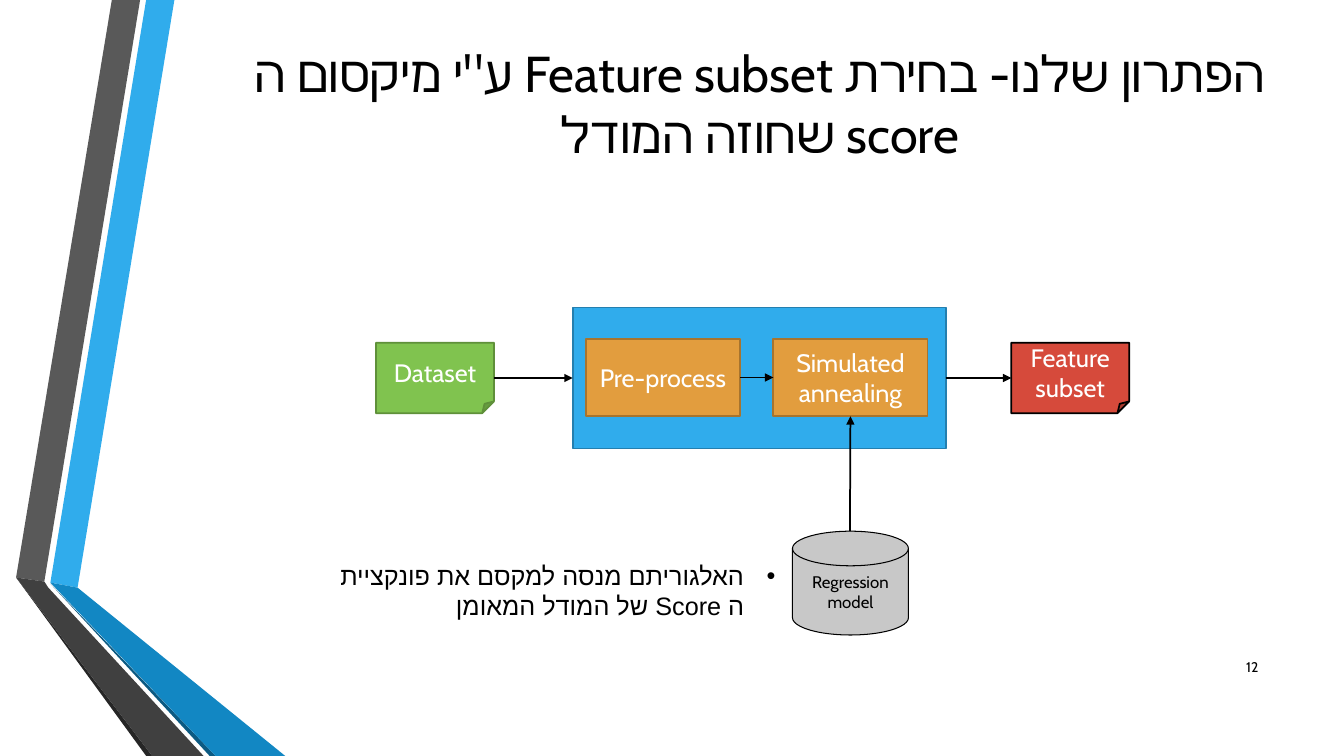
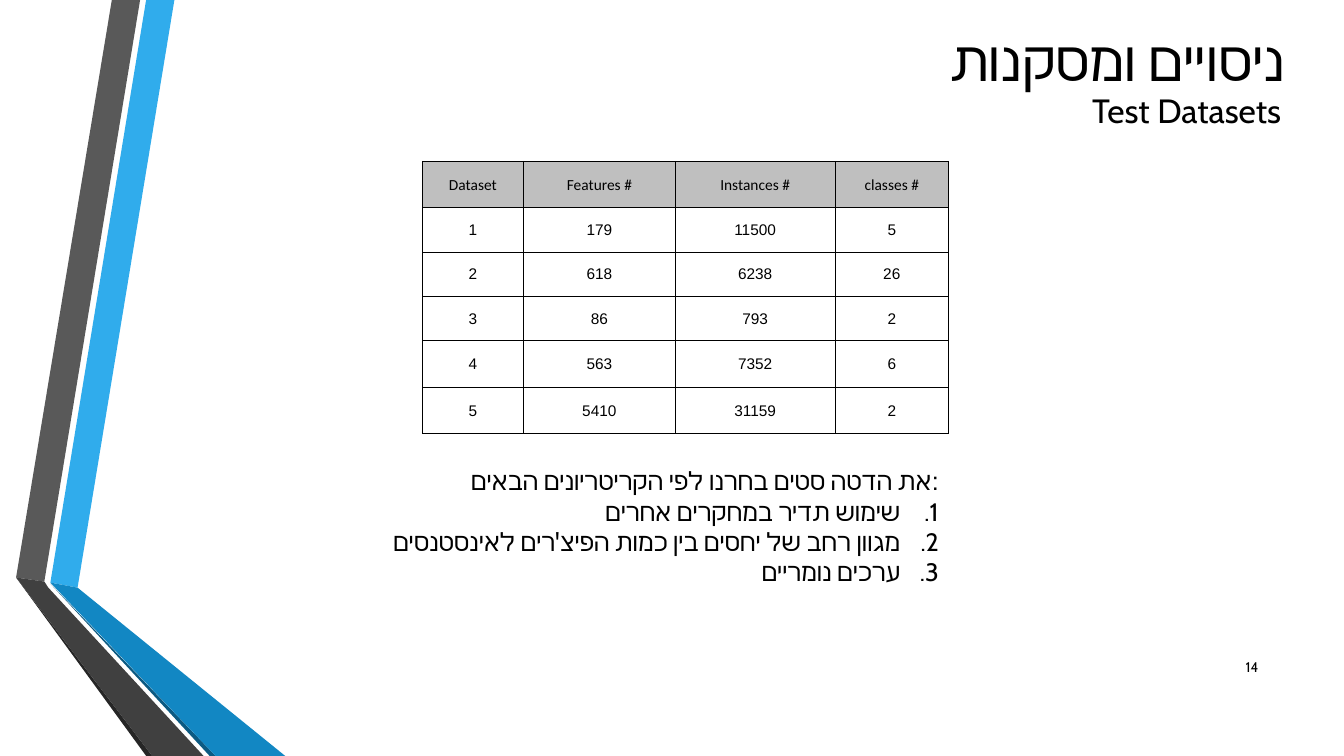
from lxml.etree import SubElement as Sub
from pptx import Presentation
from pptx.dml.color import RGBColor
from pptx.enum.shapes import MSO_CONNECTOR as Link, MSO_SHAPE as Kind
from pptx.enum.text import MSO_ANCHOR as Anchor, PP_ALIGN as Align
from pptx.oxml.ns import qn
from pptx.util import Inches, Pt

BLACK, WHITE, BLUE = "000000", "FFFFFF", "30ACEC"
ORANGE, BROWN = "E29D3E", "A7742E"
HEAD, BODY = "Cabin", "Arial"
BANDS = [
    (BLUE, [(0.5, 5.78), (0.77, 5.83), (1.73, 0), (1.45, 0)]),
    ("595959", [(1.39, 0), (1.11, 0), (0.16, 5.73), (0.44, 5.77)]),
    ("262626", [(0.16, 5.73), (1.45, 7.5), (1.51, 7.5)]),
    ("0C5A82", [(0.5, 5.79), (2.08, 7.5), (2.14, 7.5)]),
    ("1287C3", [(0.5, 5.78), (2.14, 7.5), (2.83, 7.5), (0.77, 5.83)]),
    ("404040", [(2.02, 7.5), (0.48, 5.83), (0.44, 5.77), (0.16, 5.73), (1.51, 7.5)]),
]
ROWS = [
    ("Dataset", "# Features", "# Instances", "# classes"),
    (1, 179, 11500, 5),
    (2, 618, 6238, 26),
    (3, 86, 793, 2),
    (4, 563, 7352, 6),
    (5, 5410, 31159, 2),
]


def color(code):
    """Turn a hex string into a colour."""
    return RGBColor.from_string(code)


def paint(shape, fill, edge=None, width=1.25):
    """Give a shape its fill and outline, without shadow."""
    shape.shadow.inherit = False
    shape.fill.solid()
    shape.fill.fore_color.rgb = color(fill)
    if edge:
        shape.line.color.rgb = color(edge)
        shape.line.width = Pt(width)
    else:
        shape.line.fill.background()


def write(par, text, size=18, font=HEAD, script=None, ink=BLACK, align=Align.CENTER,
          rtl=False, hang=0, mark=None):
    """Write one formatted paragraph, with an optional bullet or number."""
    par.alignment = align
    props = par._p.get_or_add_pPr()
    if rtl:
        props.set("rtl", "1")
    if mark:
        props.set("marL", str(Inches(hang)))
        props.set("indent", str(-Inches(hang)))
        if mark == "•":
            Sub(props, qn("a:buFont"), typeface=BODY)
            Sub(props, qn("a:buChar"), char=mark)
        else:
            Sub(props, qn("a:buFont"), typeface="+mj-lt")
            Sub(props, qn("a:buAutoNum"), type=mark)
    run = par.add_run()
    run.text = text
    run.font.size, run.font.name = Pt(size), font
    run.font.color.rgb = color(ink)
    Sub(run._r.get_or_add_rPr(), qn("a:cs"), typeface=script or font)


def label(slide, box, text, anchor=Anchor.MIDDLE, **look):
    """Add a wrapping text box and return its frame."""
    frame = slide.shapes.add_textbox(*map(Inches, box)).text_frame
    frame.word_wrap = True
    frame.vertical_anchor = anchor
    write(frame.paragraphs[0], text, **look)
    return frame


def block(slide, kind, box, fill, edge, text="", width=1.25, **look):
    """Add a filled shape with centred text."""
    shape = slide.shapes.add_shape(kind, *map(Inches, box))
    paint(shape, fill, edge, width)
    if text:
        shape.text_frame.vertical_anchor = Anchor.MIDDLE
        write(shape.text_frame.paragraphs[0], text, **{"ink": WHITE, **look})
    return shape


def arrow(slide, start, end, begin=None, finish=None):
    """Draw an arrow, joined to (shape, side) pairs where given."""
    line = slide.shapes.add_connector(Link.STRAIGHT, *map(Inches, start + end))
    if begin:
        line.begin_connect(*begin)
    if finish:
        line.end_connect(*finish)
    line.line.color.rgb = color(BLACK)
    line.line.width = Pt(1.25)
    Sub(line.line._get_or_add_ln(), qn("a:tailEnd"), type="triangle")
    Sub(line._element.spPr, qn("a:effectLst"))


def base(deck, number):
    """Add a slide with the side bands and page number."""
    slide = deck.slides.add_slide(deck.slide_layouts[6])
    for fill, spots in BANDS:
        first, *rest = [tuple(map(Inches, spot)) for spot in spots]
        pen = slide.shapes.build_freeform(*first)
        pen.add_line_segments(rest, close=True)
        paint(pen.convert_to_shape(), fill)
    label(slide, (11.98, 6.42, 0.6, 0.4), number, size=10, align=Align.RIGHT, rtl=True)
    return slide


def flow(slide, left, top):
    """Draw the process from dataset to feature subset."""
    mid = top + 0.7
    panel = block(slide, Kind.RECTANGLE, (left + 1.95, top, 3.7, 1.4), BLUE, "247FAF")
    prep, anneal = [
        block(slide, Kind.RECTANGLE, (left + 2.08 + 1.86 * i, top + 0.31, 1.53, 0.77),
              ORANGE, BROWN, text)
        for i, text in enumerate(("Pre-process", "Simulated annealing"))]
    block(slide, Kind.FLOWCHART_MAGNETIC_DISK, (left + 4.13, top + 2.22, 1.15, 1.03),
          "C8C8C8", BLACK, "Regression model", width=0.75, size=12, ink=BLACK)
    data, subset = [
        block(slide, Kind.FOLDED_CORNER, (left + gap, mid - 0.35, 1.17, 0.7), fill, edge, text)
        for gap, fill, edge, text in ((0, "80C34F", "5F903A", "Dataset"),
                                      (6.3, "D64A3B", BLACK, "Feature subset"))]
    spot = (left, mid)
    for one, two in ((data, panel), (panel, subset), (prep, anneal)):
        arrow(slide, spot, spot, (one, 3), (two, 1))
    arrow(slide, (left + 4.7, top + 2.22), spot, finish=(anneal, 2))


def grid(slide, left, top):
    """Draw the table of test datasets."""
    cols, rows = (1, 1.51, 1.58, 1.13), (0.46, 0.44, 0.44, 0.44, 0.46, 0.46)
    table = slide.shapes.add_table(
        len(rows), len(cols), *map(Inches, (left, top, sum(cols), sum(rows)))).table
    table.first_row = table.horz_banding = False
    for col, width in zip(table.columns, cols):
        col.width = Inches(width)
    for r, (values, high) in enumerate(zip(ROWS, rows)):
        table.rows[r].height = Inches(high)
        for c, value in enumerate(values):
            fit(table.cell(r, c), str(value), r == 0)


def fit(cell, text, top):
    """Fill in one table cell with borders."""
    cell.vertical_anchor = Anchor.MIDDLE
    cell.margin_left = cell.margin_right = cell.margin_top = Inches(0.01)
    cell.margin_bottom = 0
    write(cell.text_frame.paragraphs[0], text, size=11, rtl=True,
          font="Calibri" if top else BODY)
    props = cell._tc.get_or_add_tcPr()
    for side in "LRTB":
        line = Sub(props, qn(f"a:ln{side}"), w=str(Pt(0.5)))
        Sub(Sub(line, qn("a:solidFill")), qn("a:srgbClr"), val=BLACK)
    if top:
        cell.fill.solid()
        cell.fill.fore_color.rgb = color("BFBFBF")
    else:
        cell.fill.background()


def method(deck):
    """Build the slide on the chosen method."""
    slide = base(deck, "12")
    label(slide, (2.3, 0.38, 10.47, 1.28),
          "הפתרון שלנו- בחירת Feature subset ע\"י מיקסום ה score שחוזה המודל",
          size=36, rtl=True)
    flow(slide, 3.73, 3.05)
    label(slide, (3.26, 5.51, 4.53, 0.71),
          "האלגוריתם מנסה למקסם את פונקציית ה Score של המודל המאומן",
          anchor=Anchor.TOP, font=BODY, align=Align.RIGHT, rtl=True, hang=0.31, mark="•")


def tests(deck):
    """Build the slide on the test datasets."""
    slide = base(deck, "14")
    label(slide, (9.19, 0.08, 3.79, 1.01), "ניסויים ומסקנות", size=40, rtl=True)
    label(slide, (10.24, 0.84, 2.64, 0.5), " Test Datasets", anchor=Anchor.TOP,
          size=24, align=Align.RIGHT, rtl=True)
    grid(slide, 4.19, 1.6)
    look = dict(font=BODY, script=HEAD, align=Align.RIGHT)
    frame = label(slide, (3.76, 4.57, 5.65, 1.31),
                  "את הדטה סטים בחרנו לפי הקריטריונים הבאים:", anchor=Anchor.TOP, **look)
    for text in ("שימוש תדיר במחקרים אחרים",
                 "מגוון רחב של יחסים בין כמות הפיצ'רים לאינסטנסים",
                 "ערכים נומריים"):
        write(frame.add_paragraph(), text, rtl=True, hang=0.38, mark="arabicPeriod", **look)


def main():
    """Build and save the deck."""
    deck = Presentation()
    deck.slide_width, deck.slide_height = Inches(13.33), Inches(7.5)
    method(deck)
    tests(deck)
    deck.save("out.pptx")


if __name__ == "__main__":
    main()
